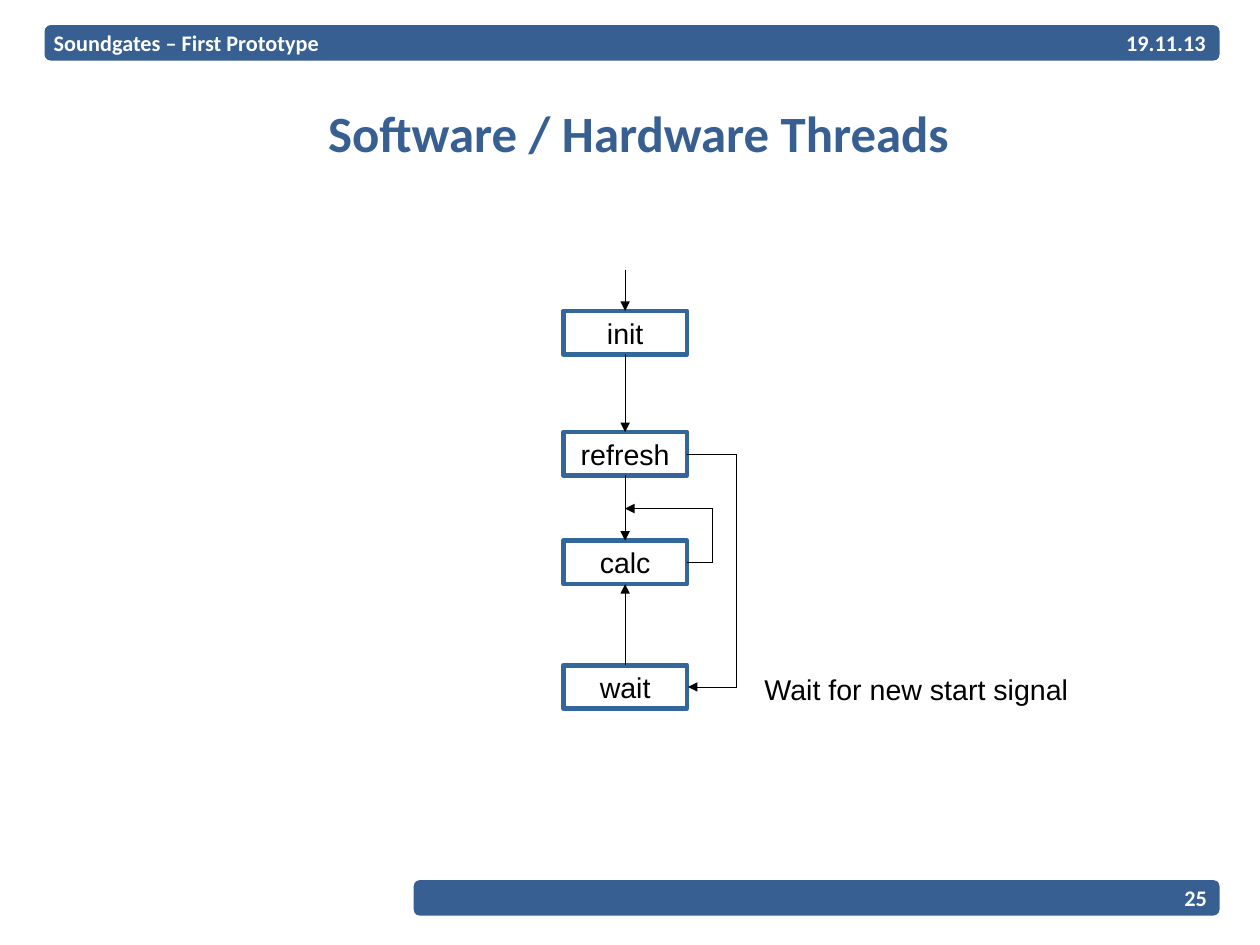
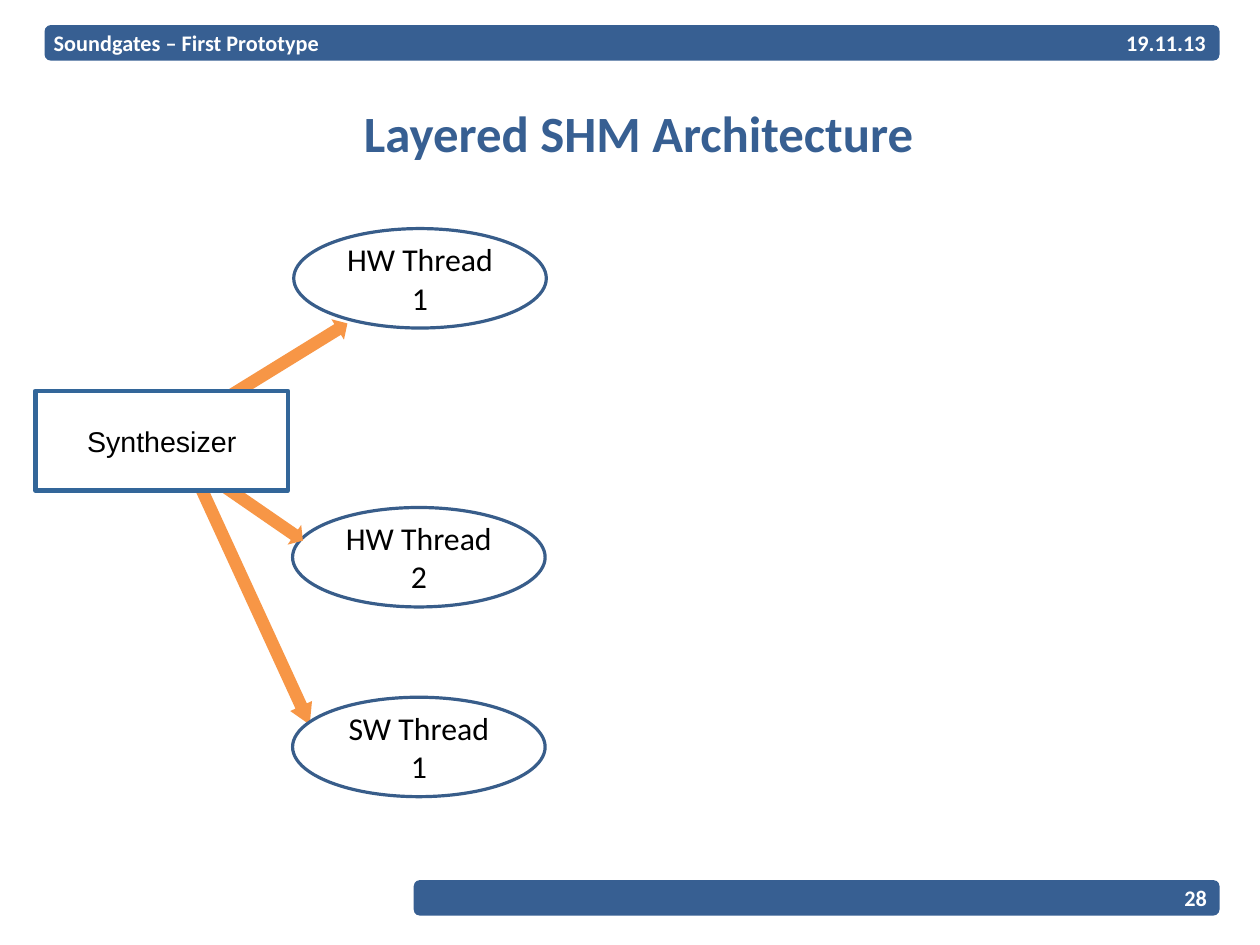
import math
from lxml import etree
from pptx import Presentation
from pptx import util as u
from pptx.dml.color import RGBColor
from pptx.enum import shapes, text
from pptx.oxml import ns

COLORS = {"band": "375F92", "white": "FFFFFF", "black": "000000",
          "box": "336699", "oval": "385D8A", "arrow": "F79646"}
PAGE_SIZE = (10080625, 7559675)
TITLE_ONLY = 5
BANDS = [(0.39, 0.22, 10.28, 0.31), (3.62, 7.7, 7.05, 0.31)]
HEADER, DATE = "Soundgates – First Prototype", "19.11.13"

STATE_LEFT, STATE_WIDTH, STATE_HEIGHT = 4.93, 1.08, 0.38
STATE_TOPS = {"init": 2.72, "refresh": 3.78, "calc": 4.73, "wait": 5.82}
TRANSITIONS = [("init", 2, "refresh", 0), ("refresh", 2, "calc", 0),
               ("wait", 0, "calc", 2)]
ENTRY_TOP, LOOP_END, CALC_LANE, WAIT_LANE = 2.36, 4.45, 6.23, 6.45
NOTE = "Wait for new start signal"

NODE_SIZE = (2.21, 0.87)
SYNTHESIZER = ("Synthesizer", (0.31, 3.42))
HARDWARE = [("HW Thread 1", (2.57, 2.0)), ("HW Thread 2", (2.56, 4.44))]
SOFTWARE = ("SW Thread 1", (2.56, 6.1))
ARROW_WIDTH = 0.21
ARROWS = [((1.91, 4.22), (2.65, 4.73), 0.09),
          ((1.92, 3.52), (3.04, 2.83), 0.1),
          ((1.75, 4.25), (2.71, 6.34), 0.18)]


def color(name):
    return RGBColor.from_string(COLORS[name])


def write(shape, words, size, font, tint, align, bold=False, insets=(0, 0)):
    frame = shape.text_frame
    frame.word_wrap = True
    frame.vertical_anchor = text.MSO_ANCHOR.MIDDLE
    frame.margin_left = frame.margin_right = u.Inches(insets[0])
    frame.margin_top = frame.margin_bottom = u.Inches(insets[1])
    frame.text = words
    para = frame.paragraphs[0]
    para.alignment = align
    para.font.size = u.Pt(size)
    para.font.name = font
    para.font.bold = bold
    para.font.color.rgb = color(tint)
    return frame


def add_shape(slide, kind, place, fill, line=None, width=0):
    shape = slide.shapes.add_shape(kind, *map(u.Inches, place))
    shape.shadow.inherit = False
    shape.fill.solid()
    shape.fill.fore_color.rgb = color(fill)
    if line:
        shape.line.color.rgb = color(line)
        shape.line.width = u.Pt(width)
    else:
        shape.line.fill.background()
    return shape


def add_text(slide, place, *style, **options):
    box = slide.shapes.add_textbox(*map(u.Inches, place))
    return write(box, *style, **options)


def add_box(slide, words, place):
    box = add_shape(slide, shapes.MSO_SHAPE.RECTANGLE, place, "white", "box", 2.89)
    write(box, words, 18, "Arial", "black", text.PP_ALIGN.CENTER, insets=(0.12, 0.07))
    return box


def add_oval(slide, words, corner):
    oval = add_shape(slide, shapes.MSO_SHAPE.OVAL, corner + NODE_SIZE, "white", "oval", 2)
    write(oval, words, 20, "Calibri", "black", text.PP_ALIGN.CENTER, insets=(0.1, 0))


def add_connector(slide, start, end, lane=None):
    kind = shapes.MSO_CONNECTOR.STRAIGHT if lane is None else shapes.MSO_CONNECTOR.ELBOW
    line = slide.shapes.add_connector(kind, *map(u.Inches, start + end))
    line.line.color.rgb = color("black")
    properties = line._element.spPr
    outline = properties.find(ns.qn("a:ln"))
    outline.set("w", "0")
    etree.SubElement(outline, ns.qn("a:tailEnd"), type="triangle")
    etree.SubElement(properties, ns.qn("a:effectLst"))
    if lane is not None:
        bend = round((lane - start[0]) / (end[0] - start[0]) * 100000)
        guides = properties.find(ns.qn("a:prstGeom")).get_or_add_avLst()
        etree.SubElement(guides, ns.qn("a:gd"), name="adj1", fmla=f"val {bend}")
    return line


def add_block_arrow(slide, start, end, head):
    dx, dy = end[0] - start[0], end[1] - start[1]
    length = math.hypot(dx, dy)
    left = (start[0] + end[0] - length) / 2
    top = (start[1] + end[1] - ARROW_WIDTH) / 2
    arrow = add_shape(slide, shapes.MSO_SHAPE.RIGHT_ARROW,
                      (left, top, length, ARROW_WIDTH), "arrow")
    arrow.adjustments[0] = 0.52
    arrow.adjustments[1] = head / ARROW_WIDTH
    arrow.rotation = math.degrees(math.atan2(dy, dx))


def add_page(deck, title, number):
    slide = deck.slides.add_slide(deck.slide_layouts[TITLE_ONLY])
    for place in BANDS:
        band = add_shape(slide, shapes.MSO_SHAPE.ROUNDED_RECTANGLE, place, "band")
        band.adjustments[0] = 0.17
    left, right = text.PP_ALIGN.LEFT, text.PP_ALIGN.RIGHT
    for words, place, align in [(HEADER, (0.47, 0.22, 8.58, 0.31), left),
                                (number, (9.69, 7.7, 0.87, 0.31), right),
                                (DATE, (9.21, 0.22, 1.34, 0.31), right)]:
        add_text(slide, place, words, 14, "Calibri", "white", align, bold=True)
    heading = slide.shapes.title
    heading.left, heading.top, heading.width, heading.height = map(
        u.Inches, (0.55, 0.81, 10.08, 0.69))
    write(heading, title, 32, "Calibri", "band", text.PP_ALIGN.CENTER, bold=True)
    return slide


def add_threads(deck):
    slide = add_page(deck, "Software / Hardware Threads", "25")
    boxes = {name: add_box(slide, name, (STATE_LEFT, top, STATE_WIDTH, STATE_HEIGHT))
             for name, top in STATE_TOPS.items()}
    center, right = STATE_LEFT + STATE_WIDTH / 2, STATE_LEFT + STATE_WIDTH
    middle = {name: top + STATE_HEIGHT / 2 for name, top in STATE_TOPS.items()}
    for source, source_side, target, target_side in TRANSITIONS:
        line = add_connector(slide, (center, middle[source]), (center, middle[target]))
        line.begin_connect(boxes[source], source_side)
        line.end_connect(boxes[target], target_side)
    entry = add_connector(slide, (center, ENTRY_TOP), (center, STATE_TOPS["init"]))
    entry.end_connect(boxes["init"], 0)
    add_connector(slide, (right, middle["calc"]), (center, LOOP_END), CALC_LANE)
    add_connector(slide, (right, middle["refresh"]), (right + 0.01, middle["wait"]), WAIT_LANE)
    note = add_text(slide, (6.59, 5.84, 2.86, 0.38), NOTE, 18, "Arial", "black",
                    text.PP_ALIGN.LEFT, insets=(0.1, 0.05))
    note.word_wrap = False


def add_architecture(deck):
    slide = add_page(deck, "Layered SHM Architecture", "28")
    for words, corner in HARDWARE:
        add_oval(slide, words, corner)
    for arrow in ARROWS:
        add_block_arrow(slide, *arrow)
    words, corner = SYNTHESIZER
    add_box(slide, words, corner + NODE_SIZE)
    add_oval(slide, *SOFTWARE)


def main():
    deck = Presentation()
    deck.slide_width, deck.slide_height = map(u.Emu, PAGE_SIZE)
    deck.element.find(ns.qn("p:sldSz")).attrib.pop("type", None)
    add_threads(deck)
    add_architecture(deck)
    deck.save("out.pptx")


if __name__ == "__main__":
    main()
